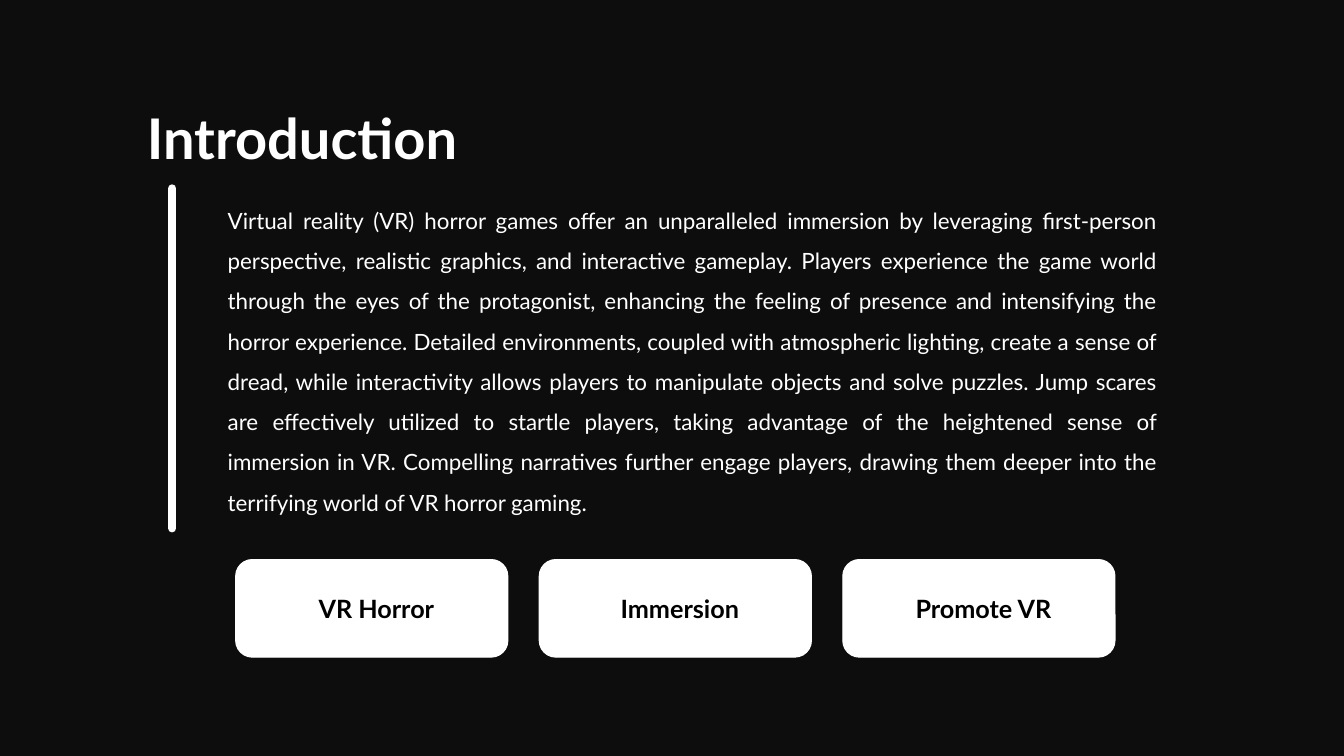
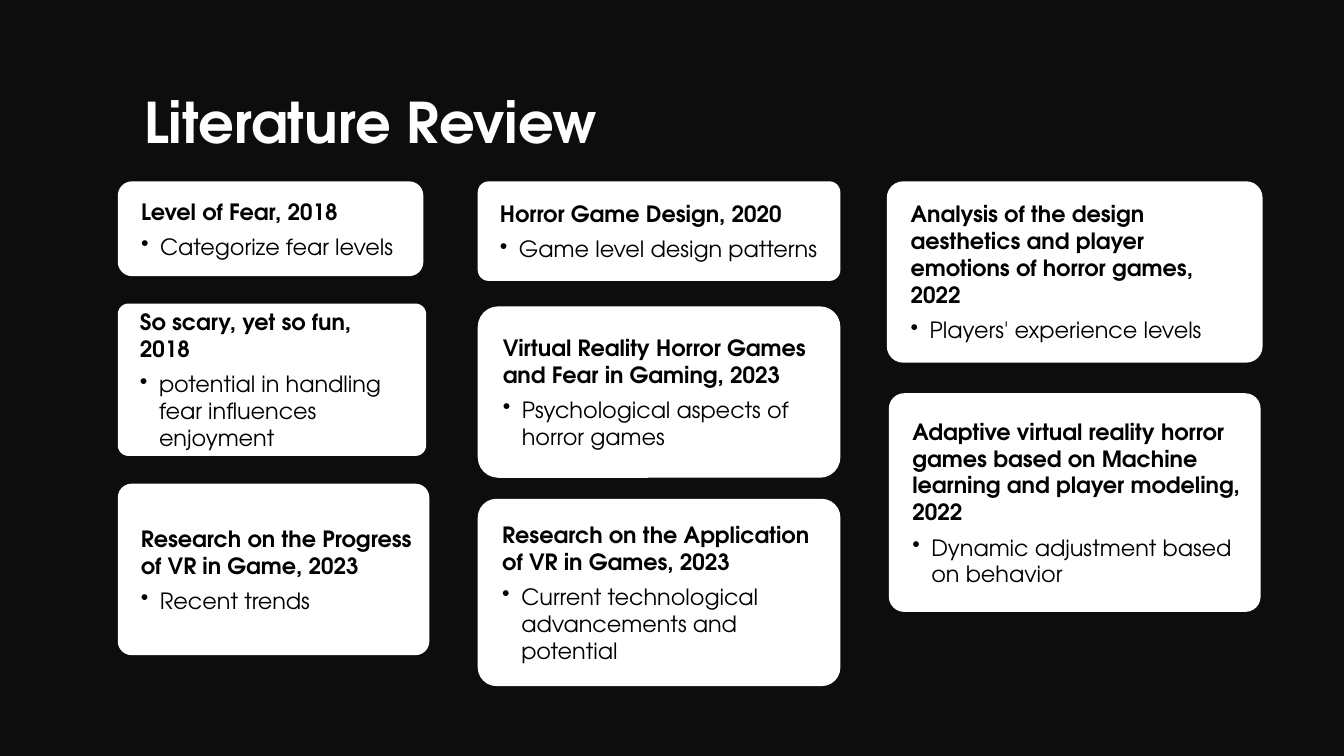
from dataclasses import dataclass

from lxml import etree
from pptx import Presentation
from pptx.dml.color import RGBColor
from pptx.enum.shapes import MSO_CONNECTOR, MSO_SHAPE
from pptx.enum.text import MSO_ANCHOR, MSO_AUTO_SIZE, PP_ALIGN
from pptx.oxml.ns import qn
from pptx.util import Cm, Pt

BACKDROP = RGBColor(0x0D, 0x0D, 0x0D)
WHITE = RGBColor(0xFF, 0xFF, 0xFF)
BLACK = RGBColor(0x00, 0x00, 0x00)
LATO = "Lato"
ADVENTOR = "TeX Gyre Adventor"

LEFT = PP_ALIGN.LEFT
CENTER = PP_ALIGN.CENTER
JUSTIFY = PP_ALIGN.JUSTIFY
TOP = MSO_ANCHOR.TOP
MIDDLE = MSO_ANCHOR.MIDDLE
FIXED_SIZE = MSO_AUTO_SIZE.NONE
ROUNDED = MSO_SHAPE.ROUNDED_RECTANGLE
STRAIGHT = MSO_CONNECTOR.STRAIGHT

TITLE_ONLY = 5
TEXT_INDENT = 0.23
BULLET_INDENT = 0.71
BULLET_HANG = 0.48


@dataclass(frozen=True)
class Box:
    """Position, size and corner ratio of a panel, with lengths in centimetres."""

    left: float
    top: float
    width: float
    height: float
    corner: float = 0.17


@dataclass(frozen=True)
class Study:
    """A reviewed paper, its finding and the panel that shows it."""

    citation: str
    finding: str
    box: Box


INTRODUCTION = (
    "Virtual reality (VR) horror games offer an unparalleled immersion by leveraging "
    "first-person perspective, realistic graphics, and interactive gameplay. Players "
    "experience the game world through the eyes of the protagonist, enhancing the feeling "
    "of presence and intensifying the horror experience. Detailed environments, coupled "
    "with atmospheric lighting, create a sense of dread, while interactivity allows players "
    "to manipulate objects and solve puzzles. Jump scares are effectively utilized to "
    "startle players, taking advantage of the heightened sense of immersion in VR. "
    "Compelling narratives further engage players, drawing them deeper into the terrifying "
    "world of VR horror gaming."
)
KEYWORDS = ("VR Horror", "Immersion", "Promote VR")
KEYWORD_PITCH = 7.65

COLUMN_1, COLUMN_2, COLUMN_3 = 2.97, 12.04, 22.35
FIRST_ROW = 4.57
STUDIES = (
    Study("Level of Fear, 2018", "Categorize fear levels",
          Box(COLUMN_1, FIRST_ROW, 7.7, 2.39, 0.15)),
    Study("So scary, yet so fun,\n2018", "potential in handling fear influences enjoyment",
          Box(COLUMN_1, 7.65, 7.77, 3.84, 0.07)),
    Study("Research on the Progress of VR in Game, 2023", "Recent trends",
          Box(COLUMN_1, 12.19, 7.85, 4.32, 0.08)),
    Study("Horror Game Design, 2020", "Game level design patterns",
          Box(COLUMN_2, FIRST_ROW, 9.14, 2.51, 0.11)),
    Study("Virtual Reality Horror Games and Fear in Gaming, 2023",
          "Psychological aspects of horror games",
          Box(COLUMN_2, 7.72, 9.14, 4.32, 0.12)),
    Study("Research on the Application of VR in Games, 2023",
          "Current technological advancements and potential",
          Box(COLUMN_2, 12.57, 9.14, 4.72, 0.1)),
    Study("Analysis of the design aesthetics and player emotions of horror games, 2022",
          "Players' experience levels",
          Box(COLUMN_3, FIRST_ROW, 9.47, 4.57, 0.09)),
    Study("Adaptive virtual reality horror games based on Machine learning and player "
          "modeling, 2022",
          "Dynamic adjustment based on behavior",
          Box(22.4, 9.91, 9.37, 5.51, 0.07)),
)


def write(paragraph, text: str, *, font: str, size: float, color: RGBColor,
          bold: bool = False, align: PP_ALIGN = LEFT, spacing: float = 1.0,
          before: float = 0, indent: float = 0, hang: float = 0, bullet: str = "") -> None:
    """Fill a paragraph with one formatted run."""
    run = paragraph.add_run()
    run.text = text
    run.font.name = font
    run.font.size = Pt(size)
    run.font.bold = bold
    run.font.color.rgb = color
    paragraph.alignment = align
    paragraph.line_spacing = spacing
    paragraph.space_before = Pt(before)
    properties = paragraph._p.get_or_add_pPr()
    properties.set("marL", str(Cm(indent)))
    properties.set("indent", str(-Cm(hang)))
    if bullet:
        etree.SubElement(properties, qn("a:buChar")).set("char", bullet)


def place(shape, box: Box) -> None:
    """Move and size a shape to a box."""
    shape.left, shape.top = Cm(box.left), Cm(box.top)
    shape.width, shape.height = Cm(box.width), Cm(box.height)


def add_titled_slide(deck, title: str, font: str, box: Box):
    """Add a slide with its title in the shared style."""
    slide = deck.slides.add_slide(deck.slide_layouts[TITLE_ONLY])
    heading = slide.shapes.title
    place(heading, box)
    frame = heading.text_frame
    frame.auto_size = FIXED_SIZE
    frame.vertical_anchor = TOP
    write(frame.paragraphs[0], title, font=font, size=40, color=WHITE, bold=True, spacing=1.5)
    return slide


def add_panel(slide, box: Box, outlined: bool = False):
    """Draw a white rounded panel and return its text frame."""
    panel = slide.shapes.add_shape(ROUNDED, Cm(box.left), Cm(box.top),
                                   Cm(box.width), Cm(box.height))
    panel.adjustments[0] = box.corner
    panel.shadow.inherit = False
    panel.fill.solid()
    panel.fill.fore_color.rgb = WHITE
    if outlined:
        panel.line.color.rgb = WHITE
        panel.line.width = Pt(0.75)
    else:
        panel.line.fill.background()
    frame = panel.text_frame
    frame.word_wrap = True
    frame.vertical_anchor = MIDDLE
    return frame


def add_accent_bar(slide, x: float, top: float, bottom: float) -> None:
    """Draw a thick vertical line with round ends."""
    bar = slide.shapes.add_connector(STRAIGHT, Cm(x), Cm(top), Cm(x), Cm(bottom))
    bar.line.color.rgb = WHITE
    bar.line.width = Pt(6)
    properties = bar._element.spPr
    properties.find(qn("a:ln")).set("cap", "rnd")
    etree.SubElement(properties, qn("a:effectLst"))


def add_study(slide, study: Study) -> None:
    """Draw a paper's panel with its citation and finding."""
    frame = add_panel(slide, study.box)
    paragraph = frame.paragraphs[0]
    for line in study.citation.split("\n"):
        write(paragraph, line, font=ADVENTOR, size=16, color=BLACK, bold=True,
              indent=TEXT_INDENT)
        paragraph = frame.add_paragraph()
    write(paragraph, study.finding, font=ADVENTOR, size=16, color=BLACK, before=6,
          indent=BULLET_INDENT, hang=BULLET_HANG, bullet="•")


def build_introduction(deck) -> None:
    """Build the introduction slide."""
    slide = add_titled_slide(deck, "Introduction", LATO, Box(3.45, 1.63, 25.48, 2.51))
    summary = slide.shapes.add_textbox(Cm(5.49), Cm(4.75), Cm(23.93), Cm(8.33)).text_frame
    summary.word_wrap = True
    write(summary.paragraphs[0], INTRODUCTION, font=LATO, size=16, color=WHITE,
          align=JUSTIFY, spacing=1.5)
    for position, keyword in enumerate(KEYWORDS):
        box = Box(5.94 + position * KEYWORD_PITCH, 14.1, 6.86, 2.46)
        frame = add_panel(slide, box, outlined=True)
        write(frame.paragraphs[0], keyword, font=LATO, size=18, color=BLACK, bold=True,
              align=CENTER, indent=TEXT_INDENT)
    add_accent_bar(slide, 4.34, 4.75, 13.31)


def build_literature_review(deck) -> None:
    """Build the literature review slide."""
    slide = add_titled_slide(deck, "Literature Review", ADVENTOR,
                             Box(3.38, 1.24, 25.48, 2.51))
    for study in STUDIES:
        add_study(slide, study)


def main() -> None:
    """Build and save the deck."""
    deck = Presentation()
    deck.slide_width, deck.slide_height = Cm(33.87), Cm(19.05)
    backdrop = deck.slide_master.background.fill
    backdrop.solid()
    backdrop.fore_color.rgb = BACKDROP
    build_introduction(deck)
    build_literature_review(deck)
    deck.save("out.pptx")


if __name__ == "__main__":
    main()
